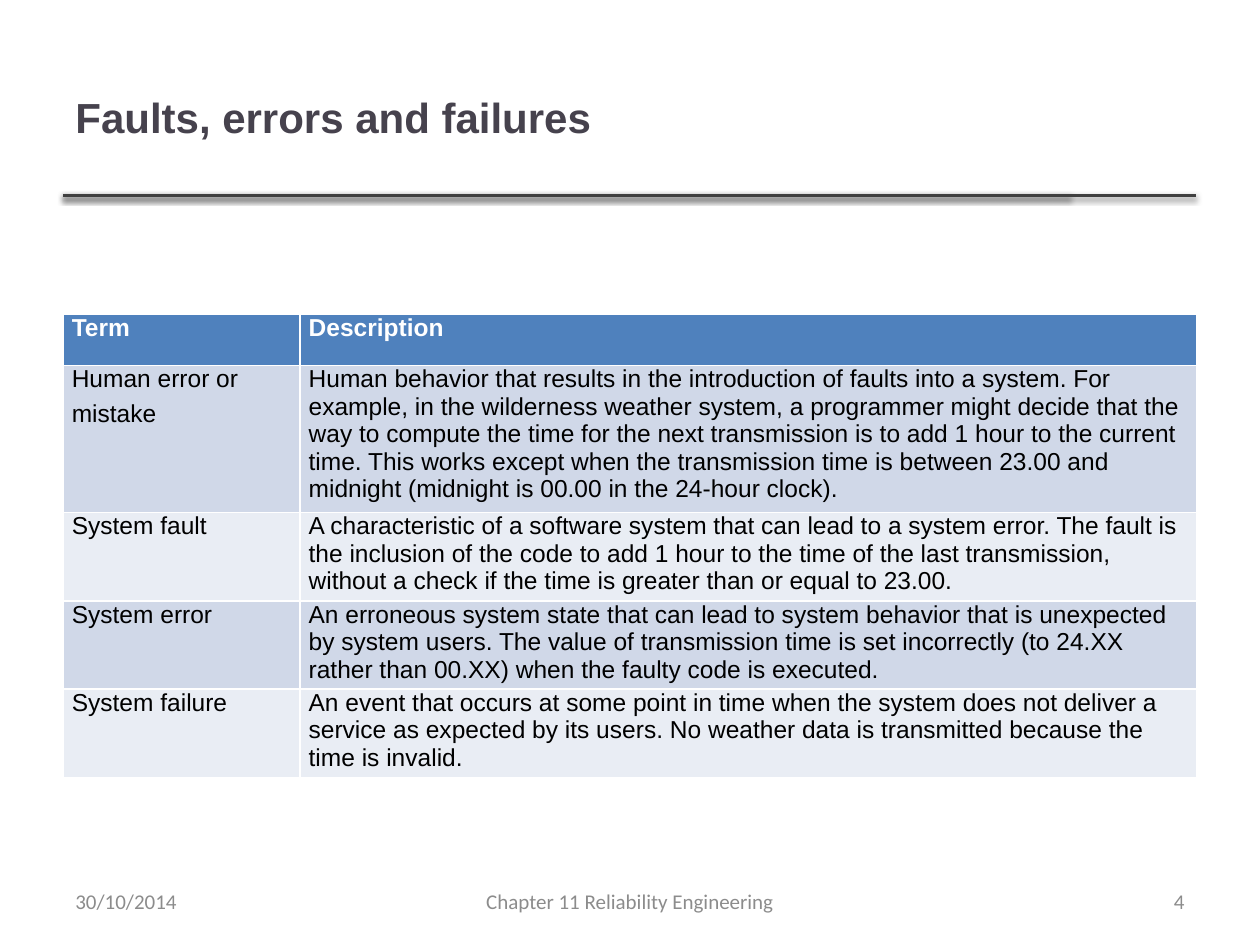
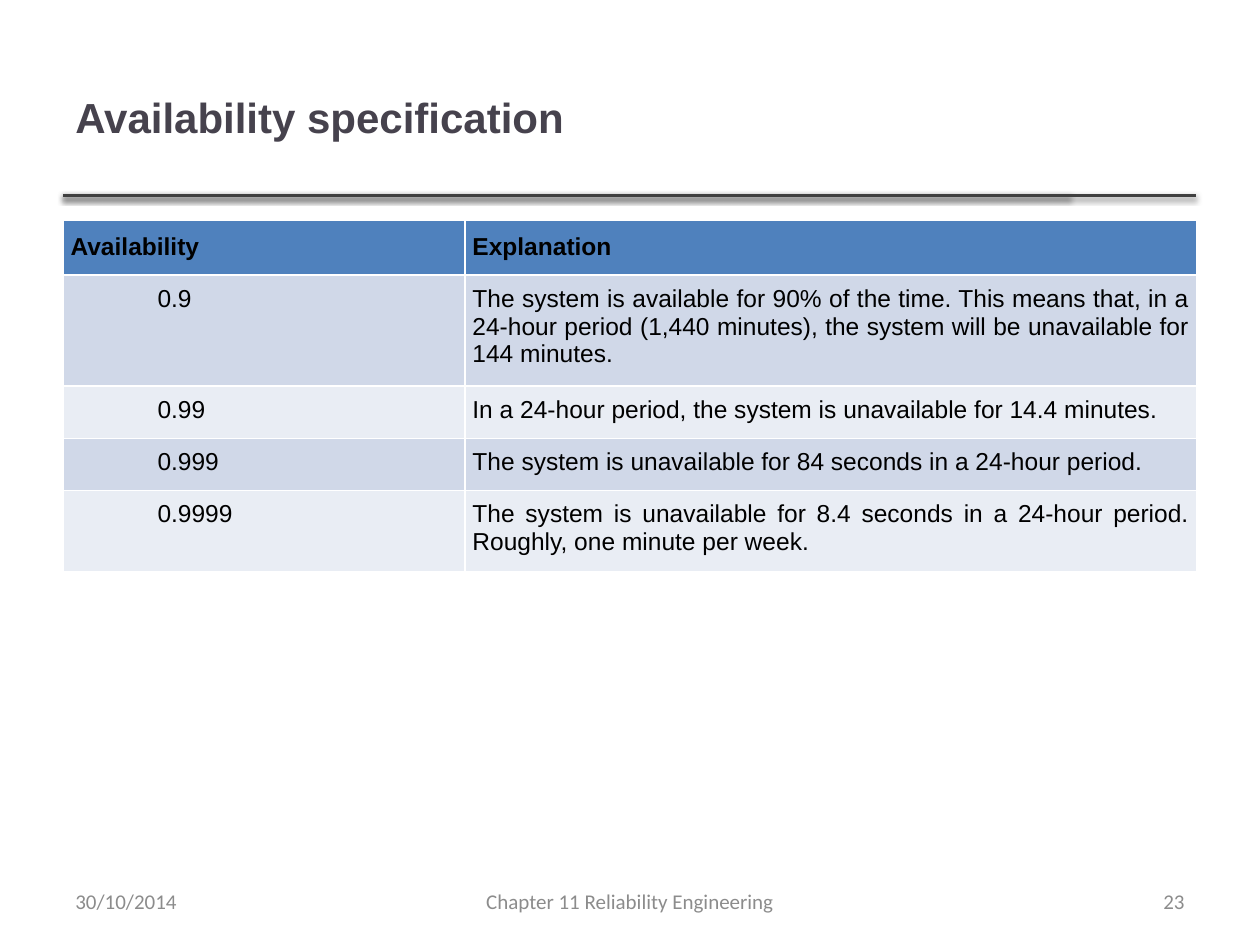
import pptx
import pptx.util
import pptx.dml.color
import pptx.enum.shapes
import pptx.enum.text
import pptx.oxml
import pptx.oxml.ns

Inches, Pt = pptx.util.Inches, pptx.util.Pt
ALIGN = pptx.enum.text.PP_ALIGN

COLORS = {
    "title": "46424D", "rule": "404040", "foot": "8C8C8C",
    "head": "4F81BD", "odd": "D0D8E8", "even": "E9EDF4",
    "white": "FFFFFF", "black": "000000",
}
LEFT, WIDTH = 0.5, 9
DATE, CHAPTER = "30/10/2014", "Chapter 11 Reliability Engineering"

SHADOW = (
    f'<a:effectLst {pptx.oxml.ns.nsdecls("a")}>'
    f'<a:outerShdw blurRad="{Pt(3.1)}" dist="{Pt(1.6)}" dir="5400000" rotWithShape="0">'
    f'<a:srgbClr val="{COLORS["black"]}"><a:alpha val="38000"/></a:srgbClr>'
    '</a:outerShdw></a:effectLst>'
)

FAULTS = [
    ("Term", "Description"),
    ("Human error or\nmistake",
     "Human behavior that results in the introduction of faults into a system. "
     "For example, in the wilderness weather system, a programmer might decide "
     "that the way to compute the time for the next transmission is to add 1 hour "
     "to the current time. This works except when the transmission time is between "
     "23.00 and midnight (midnight is 00.00 in the 24-hour clock)."),
    ("System fault",
     "A characteristic of a software system that can lead to a system error. The "
     "fault is the inclusion of the code to add 1 hour to the time of the last "
     "transmission, without a check if the time is greater than or equal to 23.00."),
    ("System error",
     "An erroneous system state that can lead to system behavior that is unexpected "
     "by system users. The value of transmission time is set incorrectly (to 24.XX "
     "rather than 00.XX) when the faulty code is executed."),
    ("System failure",
     "An event that occurs at some point in time when the system does not deliver a "
     "service as expected by its users. No weather data is transmitted because the "
     "time is invalid."),
]
LEVELS = [
    ("Availability", "Explanation"),
    ("0.9",
     "The system is available for 90% of the time. This means that, in a 24-hour "
     "period (1,440 minutes), the system will be unavailable for 144 minutes."),
    ("0.99", "In a 24-hour period, the system is unavailable for 14.4 minutes."),
    ("0.999", "The system is unavailable for 84 seconds in a 24-hour period."),
    ("0.9999",
     "The system is unavailable for 8.4 seconds in a 24-hour period. Roughly, one "
     "minute per week."),
]


def rgb(name):
    return pptx.dml.color.RGBColor.from_string(COLORS[name])


def style(para, face, size, color, bold=False):
    font = para.font
    font.name, font.size, font.bold = face, Pt(size), bold
    font.color.rgb = rgb(color)


def add_text(slide, box, text, face, size, color, bold=False, align=ALIGN.LEFT):
    frame = slide.shapes.add_textbox(*map(Inches, box)).text_frame
    frame.word_wrap = True
    frame.vertical_anchor = pptx.enum.text.MSO_ANCHOR.MIDDLE
    frame.text = text
    para = frame.paragraphs[0]
    para.alignment = align
    style(para, face, size, color, bold)


def add_rule(slide, end, y=1.55):
    line = slide.shapes.add_connector(
        pptx.enum.shapes.MSO_CONNECTOR.STRAIGHT,
        Inches(LEFT), Inches(y), Inches(end), Inches(y))
    line.line.color.rgb = rgb("rule")
    line.line.width = Pt(2)
    line._element.spPr.append(pptx.oxml.parse_xml(SHADOW))


def add_footer(slide, number, y=6.95, high=0.4):
    side, mid = 2.33, 3.17
    right = LEFT + WIDTH
    parts = [
        (LEFT, side, DATE, ALIGN.LEFT),
        (LEFT + (WIDTH - mid) / 2, mid, CHAPTER, ALIGN.CENTER),
        (right - side, side, str(number), ALIGN.RIGHT),
    ]
    for x, wide, text, align in parts:
        add_text(slide, (x, y, wide, high), text, "Calibri", 12, "foot", align=align)


def add_page(deck, title, number):
    """Add a slide with its title, double rule and footer."""
    slide = deck.slides.add_slide(deck.slide_layouts[6])
    for end in (8.49, 9.49):
        add_rule(slide, end)
    add_text(slide, (LEFT, 0.3, 7.98, 1.25), title, "Arial", 24, "title", True)
    add_footer(slide, number)
    return slide


def add_grid(slide, top, first, highs, rows, pads, ink):
    """Add a two-column table; pads holds side, head, body top and bottom insets."""
    frame = slide.shapes.add_table(
        len(rows), 2, Inches(LEFT), Inches(top), Inches(WIDTH), Inches(sum(highs)))
    table = frame.table
    for col, wide in zip(table.columns, (first, WIDTH - first)):
        col.width = Inches(wide)
    side, head, body, foot = map(Inches, pads)
    for i, (texts, high) in enumerate(zip(rows, highs)):
        table.rows[i].height = Inches(high)
        fill = "head" if i == 0 else "odd" if i % 2 else "even"
        for cell, text in zip(table.rows[i].cells, texts):
            cell.text = text
            cell.margin_left = cell.margin_right = side
            cell.margin_top = body if i else head
            cell.margin_bottom = foot
            cell.fill.solid()
            cell.fill.fore_color.rgb = rgb(fill)
            for para in cell.text_frame.paragraphs:
                style(para, "Arial", 14, "black" if i else ink, i == 0)
    return table


def add_faults(deck):
    slide = add_page(deck, "Faults, errors and failures", 4)
    table = add_grid(slide, 2.49, 1.88, (0.41, 1.09, 0.66, 0.66, 0.66), FAULTS,
                     (0.07, 0, 0, 0), "white")
    for i in range(1, len(FAULTS)):
        for j in range(2):
            if (i, j) != (1, 1):
                for para in table.cell(i, j).text_frame.paragraphs:
                    para.space_after = Pt(4)


def add_levels(deck):
    slide = add_page(deck, "Availability specification", 23)
    table = add_grid(slide, 1.75, 3.19, (0.41, 0.83, 0.41, 0.41, 0.62), LEVELS,
                     (0.06, 0.1, 0.08, 0.1), "black")
    for i in range(len(LEVELS)):
        level, note = (cell.text_frame.paragraphs[0] for cell in table.rows[i].cells)
        note.alignment = ALIGN.JUSTIFY
        if i:
            props = level._p.get_or_add_pPr()
            props.set("marL", "0")
            props.set("indent", str(Inches(0.69)))
        if i == 1:
            level.space_before = note.space_before = Pt(6)


def main():
    deck = pptx.Presentation()
    deck.slide_width, deck.slide_height = Inches(10), Inches(7.5)
    add_faults(deck)
    add_levels(deck)
    deck.save("out.pptx")


if __name__ == "__main__":
    main()
